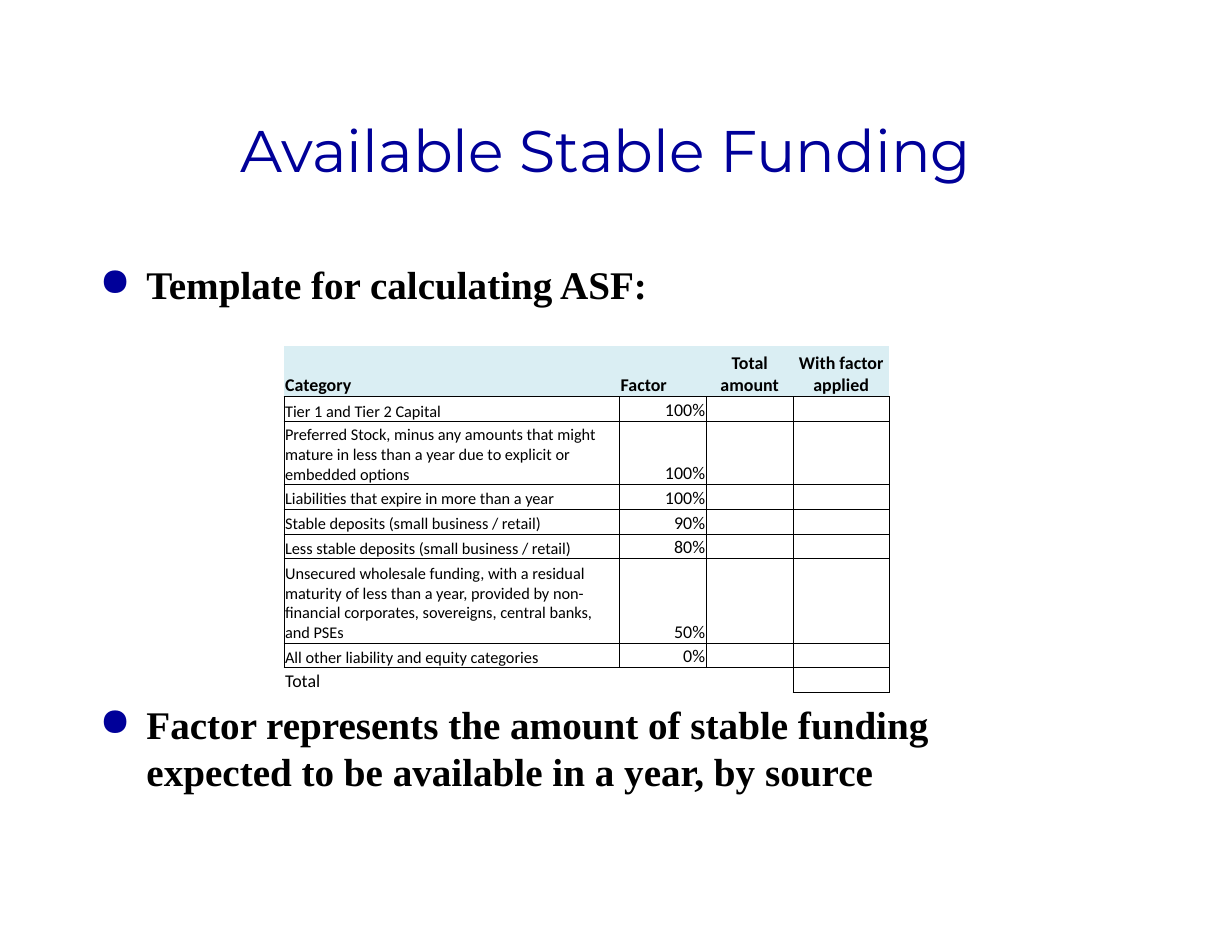
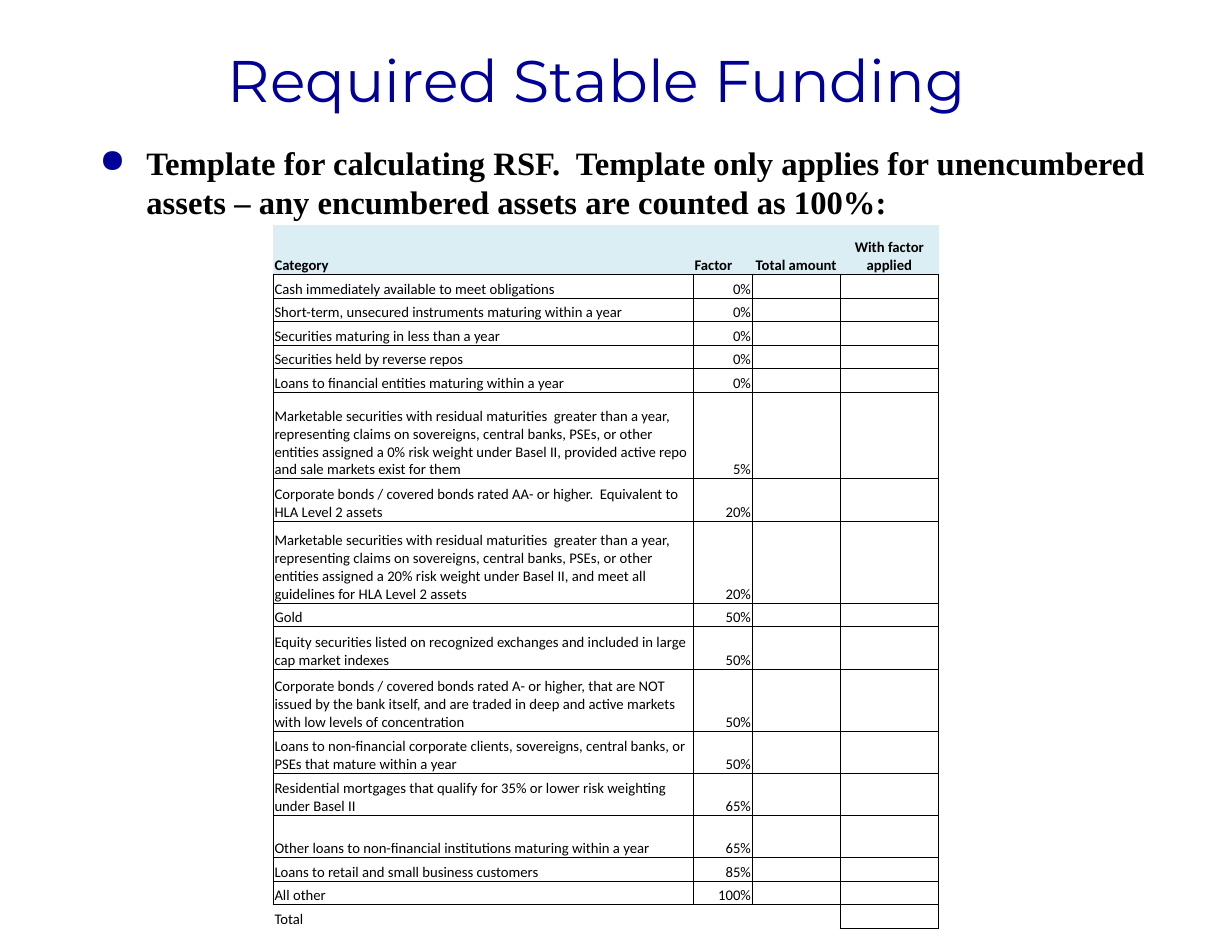
from lxml.etree import SubElement
from pptx import Presentation
from pptx.dml.color import RGBColor
from pptx.enum.shapes import MSO_SHAPE
from pptx.enum.text import MSO_ANCHOR, PP_ALIGN
from pptx.oxml.ns import qn
from pptx.util import Pt

PX = 9144  # 100 px to the inch
NAVY, BLACK, WHITE, PALE = "000099", "000000", "FFFFFF", "DAEEF3"
HEAD, BODY, GRID = "Montserrat", "Times New Roman", "Calibri"
PLAIN = "{2D5ABB26-0587-4C30-8999-92F81FD0307C}"  # no style, no grid
THIN, THICK = 0.5, 1
LABELS = ("Category", "Factor", "Total amount", "With factor applied")

# Each row: category, factor, height
FUNDS = [
    ("Tier 1 and Tier 2 Capital", "100%", 21),
    ("Preferred Stock, minus any amounts that might mature in less than a year "
     "due to explicit or embedded options", "100%", 54),
    ("Liabilities that expire in more than a year", "100%", 21),
    ("Stable deposits (small business / retail)", "90%", 21),
    ("Less stable deposits (small business / retail)", "80%", 21),
    ("Unsecured wholesale funding, with a residual maturity of less than a year, "
     "provided by non-financial corporates, sovereigns, central banks, and PSEs", "50%", 72),
    ("All other liability and equity categories", "0%", 21),
]
CLAIMS = ("Marketable securities with residual maturities  greater than a year, "
          "representing claims on sovereigns, central banks, PSEs, or other entities assigned a ")
ASSETS = [
    ("Cash immediately available to meet obligations", "0%", 20),
    ("Short-term, unsecured instruments maturing within a year", "0%", 20),
    ("Securities maturing in less than a year", "0%", 20),
    ("Securities held by reverse repos", "0%", 20),
    ("Loans to financial entities maturing within a year", "0%", 20),
    (CLAIMS + "0% risk weight under Basel II, provided active repo and sale markets "
     "exist for them", "5%", 74),
    ("Corporate bonds / covered bonds rated AA- or higher.  Equivalent to HLA Level 2 assets",
     "20%", 36),
    (CLAIMS + "20% risk weight under Basel II, and meet all guidelines for HLA Level 2 assets",
     "20%", 70),
    ("Gold", "50%", 20),
    ("Equity securities listed on recognized exchanges and included in large cap market indexes",
     "50%", 36),
    ("Corporate bonds / covered bonds rated A- or higher, that are NOT issued by the bank itself, "
     "and are traded in deep and active markets with low levels of concentration", "50%", 53),
    ("Loans to non-financial corporate clients, sovereigns, central banks, or PSEs "
     "that mature within a year", "50%", 36),
    ("Residential mortgages that qualify for 35% or lower risk weighting under Basel II",
     "65%", 36),
    ("Other loans to non-financial institutions maturing within a year", "65%", 36),
    ("Loans to retail and small business customers", "85%", 20),
    ("All other", "100%", 20),
]


def color(code):
    return RGBColor.from_string(code)


def scale(*sizes):
    return [size * PX for size in sizes]


def style(para, font, size, code, bold=False):
    for run in para.runs:
        run.font.name = font
        run.font.size = Pt(size)
        run.font.bold = bold
        run.font.color.rgb = color(code)


def add_title(slide, text, *box):
    shape = slide.shapes.add_shape(MSO_SHAPE.RECTANGLE, *scale(*box))
    shape.shadow.inherit = False
    shape.fill.solid()
    shape.fill.fore_color.rgb = color(WHITE)
    shape.line.fill.background()
    frame = shape.text_frame
    frame.text = text
    frame.word_wrap = True
    frame.vertical_anchor = MSO_ANCHOR.MIDDLE
    para = frame.paragraphs[0]
    para.alignment = PP_ALIGN.CENTER
    para.line_spacing = 0.95
    style(para, HEAD, 36, NAVY)


def add_dot(para):
    """Give a paragraph a hanging navy bullet."""
    props = para._p.get_or_add_pPr()
    props.set("marL", str(40 * PX))
    props.set("indent", str(-40 * PX))
    tint = SubElement(props, qn("a:buClr"))
    SubElement(tint, qn("a:srgbClr"), val=NAVY)
    SubElement(props, qn("a:buChar"), char="●")


def add_points(slide, points, size, *box):
    """Add bullets, each given as text and the space before it in points."""
    frame = slide.shapes.add_textbox(*scale(*box)).text_frame
    frame.word_wrap = True
    frame.text = "\n".join(text for text, _ in points)
    for para, (_, gap) in zip(frame.paragraphs, points):
        para.space_before = Pt(gap)
        add_dot(para)
        style(para, BODY, size, BLACK, True)


def add_edges(cell, edges):
    """Draw the sides of a cell that edges maps to a width."""
    props = cell._tc.get_or_add_tcPr()
    for side in "LRTB":
        if side in edges:
            line = SubElement(props, qn("a:ln" + side), w=str(Pt(edges[side])))
            fill = SubElement(line, qn("a:solidFill"))
            SubElement(fill, qn("a:srgbClr"), val=BLACK)


def find_edges(row, col, last):
    if row == 0:
        return {"B": THICK}
    if row == last and col < 3:
        return {"T": THIN, "R": THIN} if col == 2 else {"T": THIN}
    return {"L": THIN, "R": THIN, "T": THICK if row == 1 else THIN, "B": THIN}


def fill_cell(cell, text, size, align, bold):
    cell.margin_left = cell.margin_right = cell.margin_top = PX
    cell.margin_bottom = 0
    cell.vertical_anchor = MSO_ANCHOR.BOTTOM
    cell.text = text
    para = cell.text_frame.paragraphs[0]
    para.alignment = align
    style(para, GRID, size, BLACK, bold)
    if not text:
        SubElement(para._p, qn("a:endParaRPr"), sz=str(size * 100))


def add_grid(slide, items, left, top, widths, head, foot, size, small):
    """Add a factor table; small is the text size of the categories."""
    rows = [LABELS, *((name, rate, "", "") for name, rate, _ in items), ("Total", "", "", "")]
    highs = [head, *(high for _, _, high in items), foot]
    frame = slide.shapes.add_table(len(rows), len(widths),
                                   *scale(left, top, sum(widths), sum(highs)))
    table = frame.table
    table.first_row = table.horz_banding = False
    table._tbl.tblPr.find(qn("a:tableStyleId")).text = PLAIN
    for col, width in zip(table.columns, widths):
        col.width = width * PX
    last = len(rows) - 1
    for r, (texts, high) in enumerate(zip(rows, highs)):
        table.rows[r].height = high * PX
        for c, text in enumerate(texts):
            cell = table.cell(r, c)
            align = PP_ALIGN.LEFT
            if r == 0 and c > 1:
                align = PP_ALIGN.CENTER
            elif r > 0 and c == 1:
                align = PP_ALIGN.RIGHT
            points = small if c == 0 and 0 < r < last else size
            fill_cell(cell, text, points, align, r == 0)
            add_edges(cell, find_edges(r, c, last))
            if r == 0:
                cell.fill.solid()
                cell.fill.fore_color.rgb = color(PALE)
            else:
                cell.fill.background()


def add_slide(deck):
    slide = deck.slides.add_slide(deck.slide_layouts[6])
    slide.background.fill.solid()
    slide.background.fill.fore_color.rgb = color(WHITE)
    return slide


def main():
    deck = Presentation()
    deck.slide_width, deck.slide_height = scale(1050, 800)

    slide = add_slide(deck)
    add_title(slide, "Available Stable Funding", 75, 67, 883, 125)
    add_points(slide, [
        ("Template for calculating ASF:", 4),
        ("Factor represents the amount of stable funding expected to be available "
         "in a year, by source", 241),
    ], 24, 75, 217, 850, 450)
    add_grid(slide, FUNDS, 242, 295, (286, 74, 74, 82), 43, 21, 11, 10)

    slide = add_slide(deck)
    add_title(slide, "Required Stable Funding", 75, 8, 867, 125)
    add_points(slide, [
        ("Template for calculating RSF.  Template only applies for unencumbered assets "
         "– any encumbered assets are counted as 100%:", 4),
    ], 20, 75, 117, 917, 450)
    add_grid(slide, ASSETS, 233, 192, (358, 50, 75, 84), 42, 20, 9, 9)

    deck.save("out.pptx")


if __name__ == "__main__":
    main()
